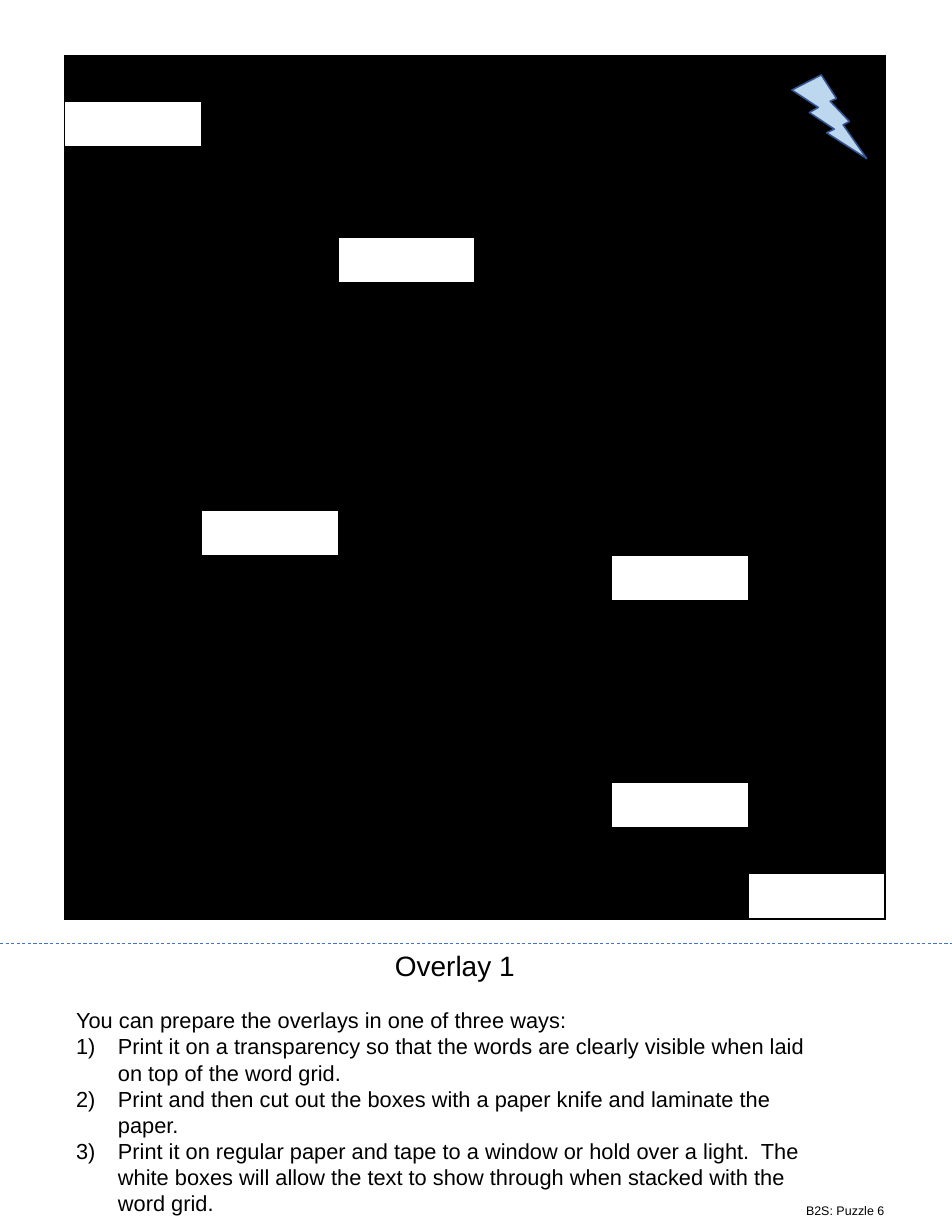
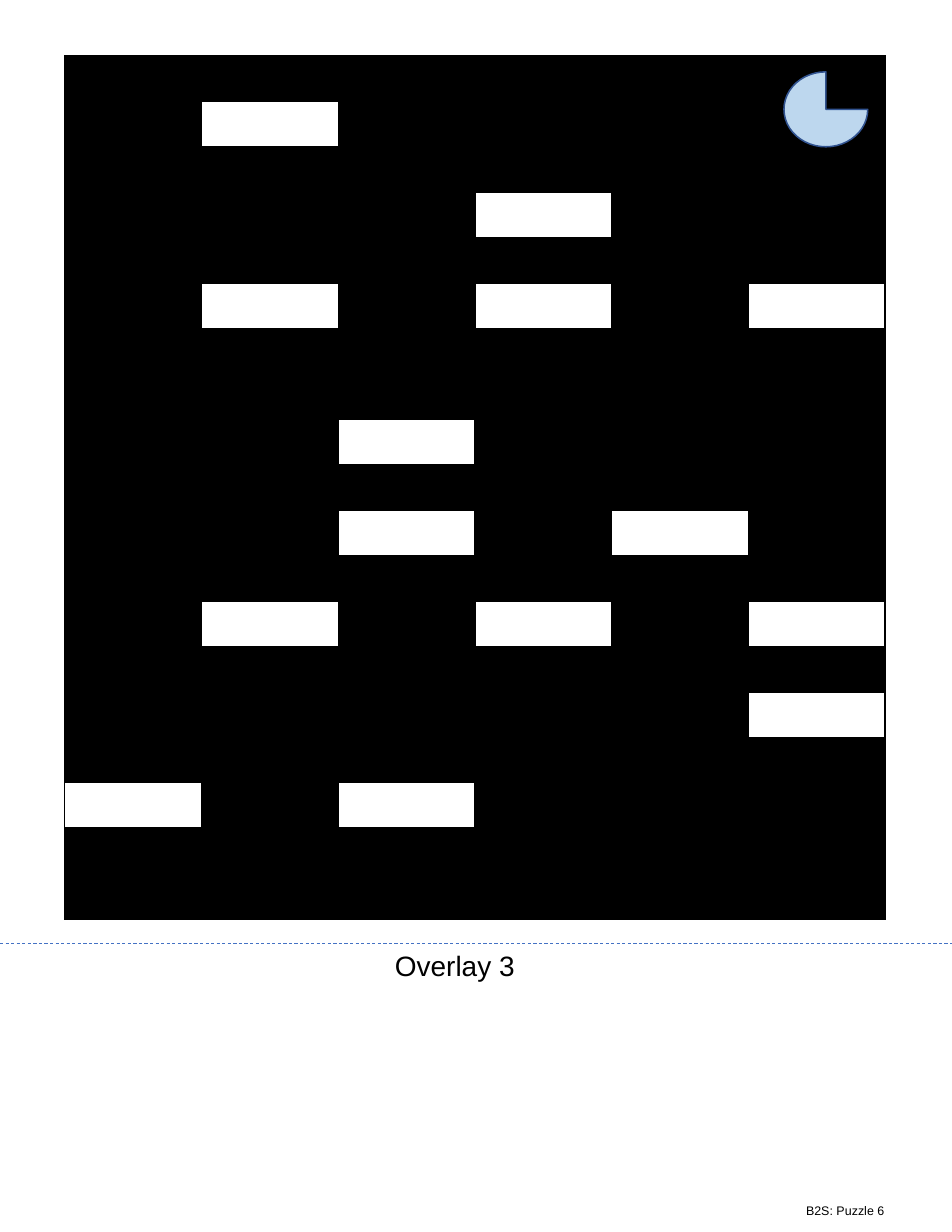
"""Build two puzzle overlay sheets: a black grid with white windows over a cut line."""
from pptx import Presentation
from pptx.dml.color import RGBColor
from pptx.enum.dml import MSO_LINE
from pptx.enum.shapes import MSO_CONNECTOR, MSO_SHAPE
from pptx.enum.text import MSO_ANCHOR, MSO_AUTO_SIZE, PP_ALIGN
from pptx.oxml import parse_xml
from pptx.oxml.ns import nsdecls
from pptx.util import Cm, Pt

BLACK, WHITE = "000000", "FFFFFF"
SYMBOL_FILL, SYMBOL_EDGE, CUT_LINE = "BDD7EE", "325491", "4472C4"
ROWS, COLUMNS = 19, 6
COLUMN_WIDTH, ROW_HEIGHT = Cm(3.1), Cm(1.03)
PAGE_WIDTH, CUT_TOP = Cm(21.59), Cm(21.39)
LIST_INDENT = Cm(0.95)
TITLE_ONLY, TITLE_AND_BODY = 5, 1

INSTRUCTIONS = "\n".join([
    "You can prepare the overlays in one of three ways:",
    "Print it on a transparency so that the words are clearly visible when laid on top of the word grid.",
    "Print and then cut out the boxes with a paper knife and laminate the paper.",
    "Print it on regular paper and tape to a window or hold over a light.  The white boxes will allow "
    "the text to show through when stacked with the word grid.",
])

OVERLAYS = [
    {
        "title": "Overlay 1",
        "instructions": INSTRUCTIONS,
        "windows": {(1, 0), (4, 2), (10, 1), (11, 4), (16, 4), (18, 5)},
        "symbol": (MSO_SHAPE.LIGHTNING_BOLT, Cm(17.96), Cm(1.7), Cm(1.7), Cm(1.9)),
    },
    {
        "title": "Overlay 3",
        "instructions": None,
        "windows": {(1, 1), (3, 3), (5, 1), (5, 3), (5, 5), (8, 2), (10, 2), (10, 4),
                    (12, 1), (12, 3), (12, 5), (14, 5), (16, 0), (16, 2)},
        "symbol": (MSO_SHAPE.PIE, Cm(17.78), Cm(1.63), Cm(1.9), Cm(1.7)),
    },
]


def color(target, value):
    """Give a fill or a line a solid colour from a hex string."""
    fill = target if hasattr(target, "solid") else target.fill
    fill.solid()
    fill.fore_color.rgb = RGBColor.from_string(value)


def write(box, text, size, align=PP_ALIGN.LEFT, wrap=True, numbered=False, spacing=1.0):
    """Fill a box with Arial text; numbered counts every paragraph after the first."""
    frame = box.text_frame
    frame.text = text
    frame.word_wrap = wrap
    frame.auto_size = MSO_AUTO_SIZE.SHAPE_TO_FIT_TEXT
    frame.vertical_anchor = MSO_ANCHOR.TOP
    for position, paragraph in enumerate(frame.paragraphs):
        counted = numbered and position > 0
        properties = paragraph._p.get_or_add_pPr()
        properties.set("marL", str(LIST_INDENT if counted else 0))
        properties.set("indent", str(-LIST_INDENT if counted else 0))
        bullet = 'buAutoNum type="arabicParenR"' if counted else "buNone"
        properties.append(parse_xml(f'<a:{bullet.replace(" ", " " + nsdecls("a") + " ", 1)}/>'
                                    if counted else f'<a:{bullet} {nsdecls("a")}/>'))
        paragraph.alignment = align
        paragraph.space_before = Pt(0)
        paragraph.line_spacing = spacing
        for run in paragraph.runs:
            run.font.name = "Arial"
            run.font.size = Pt(size)
            color(run.font.fill, BLACK)


deck = Presentation()
deck.slide_width, deck.slide_height = PAGE_WIDTH, Cm(27.94)

for overlay in OVERLAYS:
    instructions = overlay["instructions"]
    layout = TITLE_AND_BODY if instructions else TITLE_ONLY
    slide = deck.slides.add_slide(deck.slide_layouts[layout])

    title = slide.shapes.title
    title.left, title.top, title.width, title.height = Cm(8.69), CUT_TOP, Cm(3.25), Cm(1.02)
    write(title, overlay["title"], 18, align=PP_ALIGN.CENTER, wrap=False)

    if instructions:
        steps = slide.placeholders[1]
        steps.left, steps.top, steps.width, steps.height = Cm(1.47), Cm(22.71), Cm(17.55), Cm(5.05)
        write(steps, instructions, 14, numbered=True, spacing=Pt(16.8))

    grid = slide.shapes.add_table(ROWS, COLUMNS, Cm(1.47), Cm(1.27),
                                  COLUMN_WIDTH * COLUMNS, ROW_HEIGHT * ROWS).table
    grid.first_row = grid.horz_banding = False
    for column in grid.columns:
        column.width = COLUMN_WIDTH
    for row_number, row in enumerate(grid.rows):
        row.height = ROW_HEIGHT
        for column_number, cell in enumerate(row.cells):
            cell.margin_top = cell.margin_bottom = 0
            for side in "LRTB":
                cell._tc.get_or_add_tcPr().append(parse_xml(
                    f'<a:ln{side} {nsdecls("a")} w="{Pt(1)}"><a:solidFill>'
                    f'<a:srgbClr val="{BLACK}"/></a:solidFill></a:ln{side}>'))
            is_window = (row_number, column_number) in overlay["windows"]
            color(cell.fill, WHITE if is_window else BLACK)

    symbol = slide.shapes.add_shape(*overlay["symbol"])
    symbol.shadow.inherit = False
    color(symbol.fill, SYMBOL_FILL)
    color(symbol.line, SYMBOL_EDGE)
    symbol.line.width = Pt(1)

    puzzle_label = slide.shapes.add_textbox(Cm(18.03), Cm(27.15), Cm(3.56), Cm(0.61))
    write(puzzle_label, "B2S: Puzzle 6", 8)

    cut = slide.shapes.add_connector(MSO_CONNECTOR.STRAIGHT, 0, CUT_TOP, PAGE_WIDTH, CUT_TOP)
    color(cut.line, CUT_LINE)
    cut.line.width = Pt(0.5)
    cut.line.dash_style = MSO_LINE.DASH
    cut._element.spPr.append(parse_xml(f'<a:effectLst {nsdecls("a")}/>'))

deck.save("out.pptx")
